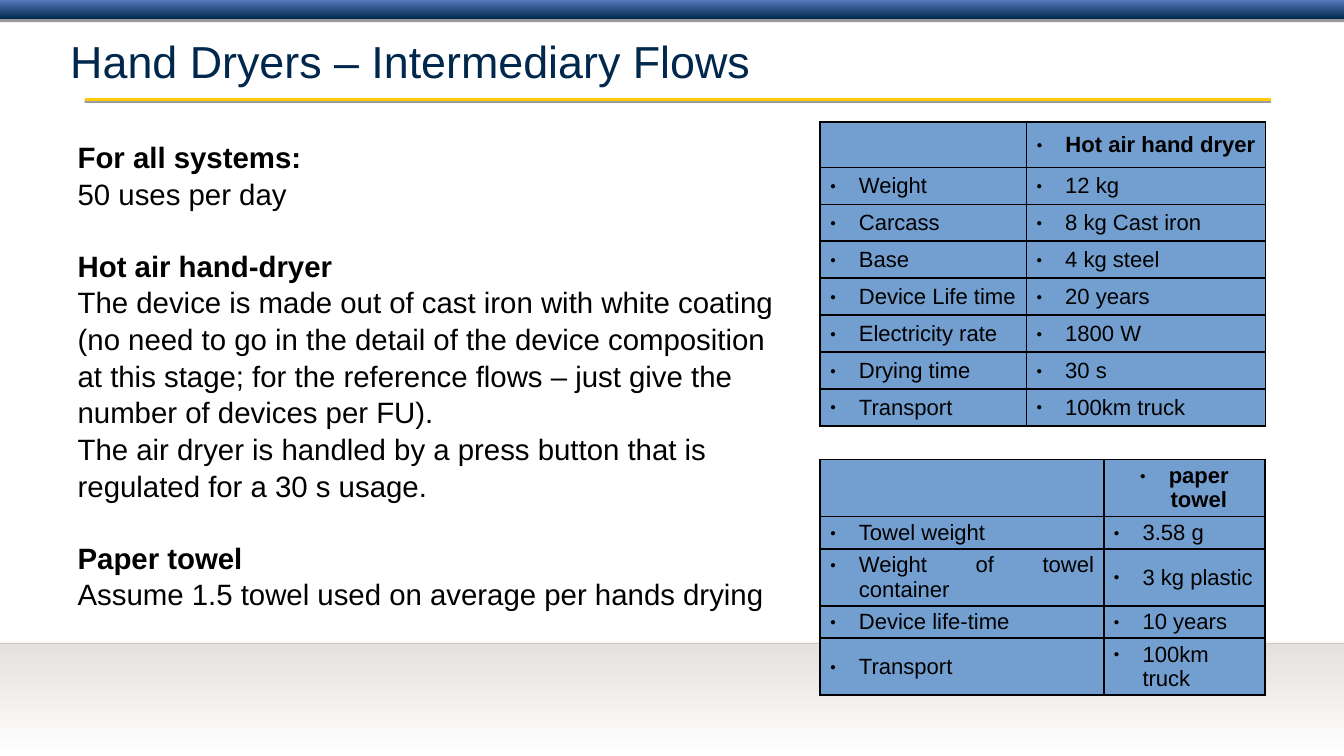
from dataclasses import dataclass

from lxml import etree
from pptx import Presentation, util as u
from pptx.dml.color import RGBColor
from pptx.enum import shapes, text
from pptx.oxml import ns

FONT = "Arial"
NAVY, GOLD, GREY, BLACK = "00274C", "FFCB05", "E4E1DF", "000000"
CELL_BLUE = "729FCF"
SLIDE_WIDTH, SLIDE_HEIGHT = 45.16, 25.4


@dataclass
class Band:
    top: float
    height: float
    start: str
    end: str
    angle: int
    shadow_alpha: int
    shadow_distance: float


@dataclass
class Rule:
    left: float
    right: float
    y: float
    colour: str
    weight: float
    opacity: int = 100


@dataclass
class FlowTable:
    top: float
    columns: tuple[float, float]
    row_heights: list[float]
    system: str
    flows: list[tuple[str, str]]


@dataclass
class Section:
    heading: str
    lines: list[str]


BANDS = [
    Band(0, 0.64, NAVY, "587ABC", 90, 40, 3),
    Band(21.59, 3.81, GREY, "FFFFFF", 270, 35, 1.8),
]
RULES = [
    Rule(2.84, 42.7, 3.35, GOLD, 3),
    Rule(0, SLIDE_WIDTH, 21.56, GREY, 0.75, 30),
]
TABLES = [
    FlowTable(4.11, (6.93, 8.03), [1.52] + [1.24] * 7, "Hot air hand dryer", [
        ("Weight", "12 kg"),
        ("Carcass", "8 kg Cast iron"),
        ("Base", "4 kg steel"),
        ("Device Life time", "20 years"),
        ("Electricity rate", "1800 W"),
        ("Drying time", "30 s"),
        ("Transport", "100km truck"),
    ]),
    FlowTable(15.44, (9.53, 5.41), [1.09, 1.09, 1.9, 1.09, 1.09], "paper towel", [
        ("Towel weight", "3.58 g"),
        ("Weight of towel container", "3 kg plastic"),
        ("Device life-time", "10 years"),
        ("Transport", "100km truck"),
    ]),
]
SECTIONS = [
    Section("For all systems:", ["50 uses per day"]),
    Section("Hot air hand-dryer", [
        "The device is made out of cast iron with white coating (no need to go in "
        "the detail of the device composition at this stage; for the reference "
        "flows – just give the number of devices per FU).",
        "The air dryer is handled by a press button that is regulated for a 30 s usage.",
    ]),
    Section("Paper towel", ["Assume 1.5 towel used on average per hands drying"]),
]


def rgb(colour: str) -> RGBColor:
    return RGBColor.from_string(colour)


def add_xml(parent, tag: str, **attributes):
    values = {name: str(value) for name, value in attributes.items()}
    return etree.SubElement(parent, ns.qn(tag), values)


def add_shadow(shape, alpha: int, distance: float) -> None:
    effects = add_xml(shape._element.spPr, "a:effectLst")
    outer = add_xml(effects, "a:outerShdw", blurRad=0, dist=u.Pt(distance),
                    dir=5400000, rotWithShape=0)
    add_xml(add_xml(outer, "a:srgbClr", val=BLACK), "a:alpha", val=alpha * 1000)


def set_font(paragraph, size: float, colour: str, bold: bool = False) -> None:
    font = paragraph.font
    font.name, font.size, font.bold = FONT, u.Pt(size), bold
    font.color.rgb = rgb(colour)


def draw_band(slide, band: Band) -> None:
    shape = slide.shapes.add_shape(shapes.MSO_SHAPE.RECTANGLE, 0, u.Cm(band.top),
                                   u.Cm(SLIDE_WIDTH), u.Cm(band.height))
    shape.fill.gradient()
    shape.fill.gradient_angle = band.angle
    for stop, colour in zip(shape.fill.gradient_stops, (band.start, band.end)):
        stop.color.rgb = rgb(colour)
    shape.line.fill.background()
    add_shadow(shape, band.shadow_alpha, band.shadow_distance)


def draw_rule(slide, rule: Rule) -> None:
    line = slide.shapes.add_connector(shapes.MSO_CONNECTOR.STRAIGHT, u.Cm(rule.left),
                                      u.Cm(rule.y), u.Cm(rule.right), u.Cm(rule.y))
    line.line.color.rgb = rgb(rule.colour)
    line.line.width = u.Pt(rule.weight)
    if rule.opacity < 100:
        colour = line._element.spPr.find(".//" + ns.qn("a:srgbClr"))
        add_xml(colour, "a:alpha", val=rule.opacity * 1000)
    add_shadow(line, 38, 1.6)


def add_bullet(paragraph) -> None:
    indent = u.Cm(0.97)
    properties = paragraph._p.get_or_add_pPr()
    properties.set("marL", str(indent))
    properties.set("indent", str(-indent))
    add_xml(add_xml(properties, "a:buClr"), "a:srgbClr", val=BLACK)
    add_xml(properties, "a:buSzPct", val=45000)
    add_xml(properties, "a:buFont", typeface=FONT)
    add_xml(properties, "a:buChar", char="●")


def format_cell(cell) -> None:
    cell.fill.solid()
    cell.fill.fore_color.rgb = rgb(CELL_BLUE)
    cell.vertical_anchor = text.MSO_ANCHOR.MIDDLE
    cell.margin_left = cell.margin_right = u.Cm(0.33)
    cell.margin_top = cell.margin_bottom = u.Cm(0.13)
    properties = cell._tc.get_or_add_tcPr()
    for position, side in enumerate("LRTB"):
        border = add_xml(properties, f"a:ln{side}", w=u.Pt(1.93))
        add_xml(add_xml(border, "a:solidFill"), "a:srgbClr", val=BLACK)
        properties.insert(position, border)


def draw_table(slide, flow_table: FlowTable) -> None:
    rows = [("", flow_table.system)] + flow_table.flows
    table = slide.shapes.add_table(
        len(rows), 2, u.Cm(27.56), u.Cm(flow_table.top),
        u.Cm(sum(flow_table.columns)), u.Cm(sum(flow_table.row_heights))).table
    for column, width in zip(table.columns, flow_table.columns):
        column.width = u.Cm(width)
    for row, height in zip(table.rows, flow_table.row_heights):
        row.height = u.Cm(height)
    for r, row_texts in enumerate(rows):
        for c, words in enumerate(row_texts):
            cell = table.cell(r, c)
            format_cell(cell)
            if not words:
                continue
            cell.text = words
            paragraph = cell.text_frame.paragraphs[0]
            paragraph.alignment = text.PP_ALIGN.JUSTIFY if r else text.PP_ALIGN.CENTER
            add_bullet(paragraph)
            set_font(paragraph, 21, BLACK, bold=r == 0)


def draw_title(slide, words: str) -> None:
    title = slide.shapes.title
    title.left, title.top = u.Cm(2.36), u.Cm(0.38)
    title.width, title.height = u.Cm(45.14), u.Cm(3.28)
    frame = title.text_frame
    frame.text = words
    frame.auto_size = text.MSO_AUTO_SIZE.NONE
    frame.vertical_anchor = text.MSO_ANCHOR.MIDDLE
    frame.margin_left = frame.margin_right = frame.margin_top = frame.margin_bottom = 0
    frame.paragraphs[0].alignment = text.PP_ALIGN.LEFT
    set_font(frame.paragraphs[0], 42.7, NAVY)


def draw_assumptions(slide, sections: list[Section]) -> None:
    box = slide.shapes.add_textbox(u.Cm(2.36), u.Cm(4.5), u.Cm(24.41), u.Cm(15.67))
    frame = box.text_frame
    frame.word_wrap = True
    for index, section in enumerate(sections):
        for position, words in enumerate([section.heading] + section.lines):
            first = index == position == 0
            paragraph = frame.paragraphs[0] if first else frame.add_paragraph()
            paragraph.text = words
            paragraph.line_spacing = 1.04
            if index and position == 0:
                paragraph.space_before = u.Pt(33.5)
            set_font(paragraph, 28, BLACK, bold=position == 0)


def main() -> None:
    deck = Presentation()
    deck.slide_width, deck.slide_height = u.Cm(SLIDE_WIDTH), u.Cm(SLIDE_HEIGHT)
    slide = deck.slides.add_slide(deck.slide_layouts[5])

    # Header and footer decoration
    for band, rule in zip(BANDS, RULES):
        draw_band(slide, band)
        draw_rule(slide, rule)

    # Content
    draw_title(slide, "Hand Dryers – Intermediary Flows")
    for flow_table in TABLES:
        draw_table(slide, flow_table)
    draw_assumptions(slide, SECTIONS)
    deck.save("out.pptx")


if __name__ == "__main__":
    main()
